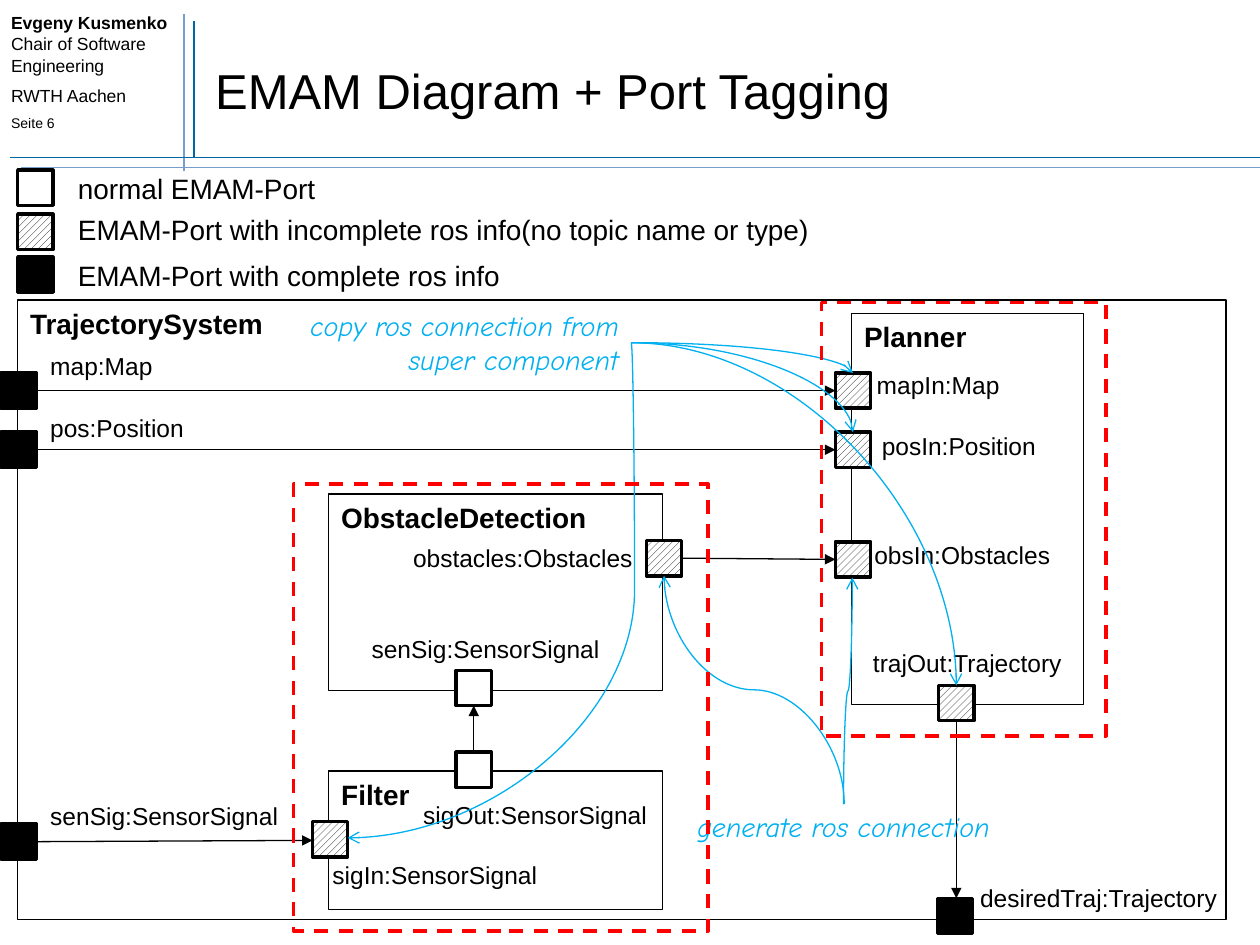
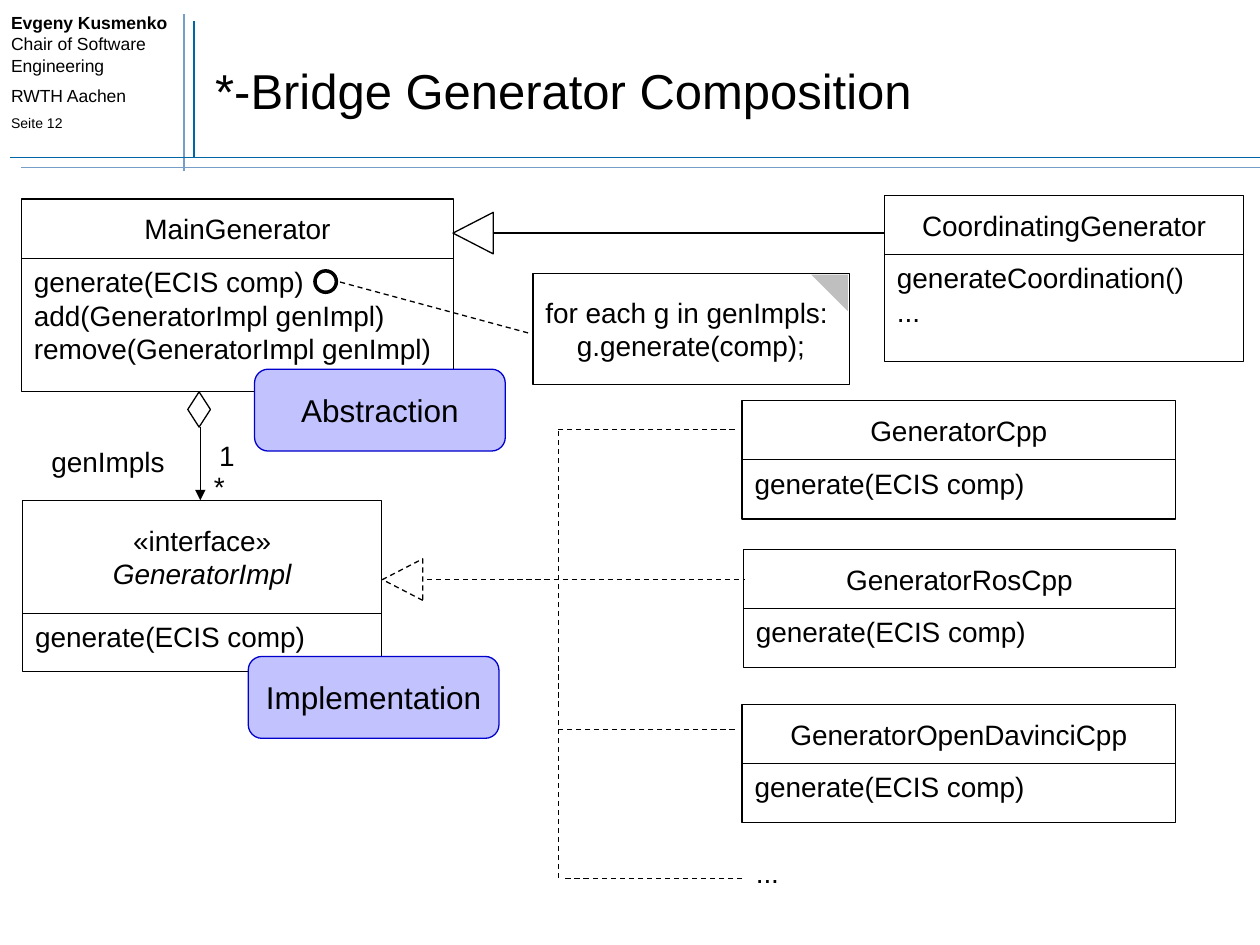
import dataclasses
import typing

import lxml.etree
import pptx
import pptx.dml.color
import pptx.enum.dml
import pptx.enum.shapes
import pptx.enum.text
import pptx.oxml.ns
import pptx.util

PX = 9144
COLOURS = {
    "ink": "000000", "paper": "FFFFFF", "rule": "0067A6", "rule_soft": "779EC9",
    "hint": "00B0F0", "scope": "FF0000", "fold": "BFBFBF",
    "badge": "C2C2FF", "badge_edge": "0000CC",
}
SHAPES = pptx.enum.shapes.MSO_SHAPE
ALIGN = pptx.enum.text.PP_ALIGN
ANCHOR = pptx.enum.text.MSO_ANCHOR
PORT = 28
HATCH = "hatch"

Frame = tuple[int, int, int, int]
Point = tuple[int, int]


@dataclasses.dataclass(frozen=True)
class Style:
    size: int = 16
    font: str = "Arial"
    colour: str = "ink"
    bold: bool = False
    italic: bool = False
    align: typing.Any = ALIGN.LEFT
    anchor: typing.Any = ANCHOR.TOP
    wrap: bool = True


@dataclasses.dataclass(frozen=True)
class Component:
    name: str
    frame: Frame


@dataclasses.dataclass(frozen=True)
class Port:
    left: int
    top: int
    fill: str


@dataclasses.dataclass(frozen=True)
class Label:
    text: str
    frame: Frame


@dataclasses.dataclass(frozen=True)
class Wire:
    start: Point
    end: Point
    colour: str = "ink"
    width: float = 0.75
    dashed: bool = False
    arrow: str = ""


@dataclasses.dataclass(frozen=True)
class Curve:
    start: Point
    end: Point
    preset: str = "curvedConnector2"
    turn: int = 0
    bend: int = 50000


@dataclasses.dataclass(frozen=True)
class ClassBox:
    left: int
    top: int
    width: int
    head_height: int
    body_height: int
    head: tuple[str, ...]
    body: tuple[str, ...]


BODY = Style()
NAME = Style(bold=True)
SMALL = Style(size=14, wrap=False)
LOOSE = Style(wrap=False)
HEAD = Style(align=ALIGN.CENTER, anchor=ANCHOR.MIDDLE)
TITLE = Style(size=28, anchor=ANCHOR.MIDDLE)
BADGE = Style(size=18, align=ALIGN.CENTER, anchor=ANCHOR.MIDDLE)
HINT = Style(font="Comic Neue", colour="hint", italic=True)


def rgb(name: str) -> pptx.dml.color.RGBColor:
    return pptx.dml.color.RGBColor.from_string(COLOURS[name])


def add_span(para, text: str, style: Style) -> None:
    span = para.add_run()
    span.text = text
    span.font.size = pptx.util.Pt(style.size)
    span.font.name = style.font
    span.font.bold = style.bold
    span.font.italic = style.italic
    span.font.color.rgb = rgb(style.colour)


def write(box, lines: typing.Sequence[str], style: Style) -> list:
    frame = box.text_frame
    frame.word_wrap = style.wrap
    frame.vertical_anchor = style.anchor
    paras = []
    for number, text in enumerate(lines):
        para = frame.add_paragraph() if number else frame.paragraphs[0]
        para.alignment = style.align
        add_span(para, text, style)
        paras.append(para)
    return paras


def add_text(page, frame: Frame, lines: typing.Sequence[str], style: Style):
    box = page.shapes.add_textbox(*(value * PX for value in frame))
    write(box, lines, style)
    return box


def add_box(page, frame: Frame, fill: str = "", edge: str = "ink", width: float = 0.75,
            kind=SHAPES.RECTANGLE, turn: int = 0, dashed: bool = False):
    box = page.shapes.add_shape(kind, *(value * PX for value in frame))
    box.shadow.inherit = False
    box.rotation = turn
    if fill == HATCH:
        box.fill.patterned()
        box.fill.pattern = pptx.enum.dml.MSO_PATTERN.WIDE_UPWARD_DIAGONAL
        box.fill.fore_color.rgb = rgb("ink")
        box.fill.back_color.rgb = rgb("paper")
    elif fill:
        box.fill.solid()
        box.fill.fore_color.rgb = rgb(fill)
    else:
        box.fill.background()
    if edge:
        box.line.color.rgb = rgb(edge)
        box.line.width = pptx.util.Pt(width)
        if dashed:
            box.line.dash_style = pptx.enum.dml.MSO_LINE.DASH
    else:
        box.line.fill.background()
    return box


def add_wire(page, wire: Wire, kind=pptx.enum.shapes.MSO_CONNECTOR.STRAIGHT):
    ends = (value * PX for value in wire.start + wire.end)
    link = page.shapes.add_connector(kind, *ends)
    link.line.color.rgb = rgb(wire.colour)
    link.line.width = pptx.util.Pt(wire.width)
    if wire.dashed:
        link.line.dash_style = pptx.enum.dml.MSO_LINE.DASH
    qn = pptx.oxml.ns.qn
    properties = link._element.spPr
    if wire.arrow:
        lxml.etree.SubElement(properties.find(qn("a:ln")), qn("a:tailEnd"), type=wire.arrow)
    lxml.etree.SubElement(properties, qn("a:effectLst"))
    return link


def add_curve(page, curve: Curve) -> None:
    wire = Wire(curve.start, curve.end, colour="hint", arrow="arrow")
    link = add_wire(page, wire, pptx.enum.shapes.MSO_CONNECTOR.CURVE)
    qn = pptx.oxml.ns.qn
    properties = link._element.spPr
    properties.find(qn("a:xfrm")).set("rot", str(curve.turn * 60000))
    geometry = properties.find(qn("a:prstGeom"))
    geometry.set("prst", curve.preset)
    if curve.preset == "curvedConnector3":
        lxml.etree.SubElement(geometry.find(qn("a:avLst")), qn("a:gd"),
                              name="adj1", fmla=f"val {curve.bend}")


def add_port(page, port: Port) -> None:
    add_box(page, (port.left, port.top, PORT, PORT), port.fill, width=2)


def add_class(page, item: ClassBox) -> None:
    head = add_box(page, (item.left, item.top, item.width, item.head_height))
    paras = write(head, item.head, HEAD)
    if len(paras) > 1:
        paras[-1].runs[0].font.italic = True
    body_top = item.top + item.head_height
    body = add_box(page, (item.left, body_top, item.width, item.body_height))
    write(body, item.body, BODY)


def add_page(deck, title: str, number: int):
    page = deck.slides.add_slide(deck.slide_layouts[6])
    author = add_text(page, (-1, 5, 153, 106), ["Evgeny Kusmenko"], Style(size=10, bold=True))
    first = author.text_frame.paragraphs[0]
    first.add_line_break()
    add_span(first, "Chair of Software Engineering", Style(size=10))
    for text, size in (("RWTH Aachen", 10), (f"Seite {number}", 8)):
        para = author.text_frame.add_paragraph()
        para.space_before = pptx.util.Pt(size * 0.56)
        add_span(para, text, Style(size=size))
    for start, end, colour in (
        ((154, 125), (154, 17), "rule"),
        ((146, 136), (146, 11), "rule_soft"),
        ((8, 125), (1000, 125), "rule"),
        ((17, 133), (1000, 133), "rule_soft"),
    ):
        add_wire(page, Wire(start, end, colour, 1))
    add_text(page, (161, 25, 827, 92), [title], TITLE)
    return page


def build_port_tagging(deck) -> None:
    page = add_page(deck, "EMAM Diagram + Port Tagging", 6)
    for part in (
        Component("TrajectorySystem", (14, 238, 959, 492)),
        Component("Planner", (676, 249, 184, 310)),
        Component("Filter", (261, 612, 265, 110)),
        Component("ObstacleDetection", (261, 392, 265, 156)),
    ):
        write(add_box(page, part.frame), [part.name], NAME)
    for start, end in (
        ((29, 357), (663, 357)), ((541, 443), (663, 444)), ((29, 310), (663, 310)),
        ((29, 668), (248, 667)), ((376, 597), (376, 560)), ((759, 572), (759, 713)),
    ):
        add_wire(page, Wire(start, end, arrow="triangle"))
    ports = [Port(1, top, "ink") for top in (296, 343, 654)]
    ports += [Port(663, top, HATCH) for top in (296, 343, 430)]
    ports += [Port(362, top, "paper") for top in (597, 532)]
    ports += [Port(744, 713, "ink"), Port(745, 544, HATCH),
              Port(513, 429, HATCH), Port(248, 652, HATCH)]
    for port in ports:
        add_port(page, port)
    for label in (
        Label("map:Map", (30, 274, 102, 34)),
        Label("obstacles:Obstacles", (318, 426, 196, 34)),
        Label("posIn:Position", (690, 337, 143, 34)),
        Label("obsIn:Obstacles", (684, 424, 161, 34)),
        Label("pos:Position", (30, 323, 127, 34)),
        Label("mapIn:Map", (686, 289, 118, 34)),
        Label("trajOut:Trajectory", (683, 509, 171, 34)),
        Label("desiredTraj:Trajectory", (768, 696, 209, 34)),
        Label("senSig:SensorSignal", (30, 631, 202, 34)),
        Label("senSig:SensorSignal", (285, 498, 202, 34)),
        Label("sigIn:SensorSignal", (254, 678, 184, 34)),
        Label("sigOut:SensorSignal", (326, 630, 199, 34)),
    ):
        add_text(page, label.frame, [label.text], SMALL)
    add_text(page, (183, 240, 318, 64), ["copy ros connection from super component"],
             dataclasses.replace(HINT, align=ALIGN.RIGHT))
    add_text(page, (532, 638, 275, 37), ["generate ros connection"],
             dataclasses.replace(HINT, align=ALIGN.CENTER))
    for target in ((677, 296), (677, 343), (759, 544)):
        add_curve(page, Curve((501, 272), target))
    for curve in (
        Curve((501, 272), (276, 665), "curvedConnector3", bend=-1200),
        Curve((508, 619), (689, 476), "curvedConnector3", turn=270),
        Curve((763, 552), (583, 545), "curvedConnector3", turn=90),
    ):
        add_curve(page, curve)
    for port_top, text_top, fill, text, width in (
        (135, 131, "paper", "normal EMAM-Port", 211),
        (170, 164, HATCH, "EMAM-Port with incomplete ros info(no topic name or type)", 608),
        (204, 200, "ink", "EMAM-Port with complete ros info", 360),
    ):
        add_port(page, Port(14, port_top, fill))
        add_text(page, (52, text_top, width, 37), [text], LOOSE)
    for scope in ((233, 384, 329, 355), (652, 240, 226, 344)):
        add_box(page, scope, edge="scope", width=2, dashed=True)


def build_generator_composition(deck) -> None:
    page = add_page(deck, "*-Bridge Generator Composition", 12)
    generate = "generate(ECIS comp)"
    for item in (
        ClassBox(17, 158, 343, 47, 106, ("MainGenerator",),
                 (generate, "add(GeneratorImpl genImpl)", "remove(GeneratorImpl genImpl)")),
        ClassBox(702, 155, 285, 47, 85, ("CoordinatingGenerator",),
                 ("generateCoordination()", "...")),
        ClassBox(18, 397, 285, 90, 46, ("«interface»", "GeneratorImpl"), (generate,)),
        ClassBox(589, 318, 344, 47, 47, ("GeneratorCpp",), (generate,)),
        ClassBox(590, 436, 343, 47, 47, ("GeneratorRosCpp",), (generate,)),
        ClassBox(589, 559, 344, 47, 47, ("GeneratorOpenDavinciCpp",), (generate,)),
    ):
        add_class(page, item)
    for label in (
        Label("...", (590, 674, 41, 40)),
        Label("*", (160, 368, 26, 30)),
        Label("1", (164, 343, 29, 30)),
        Label("genImpls", (31, 348, 186, 39)),
    ):
        add_text(page, label.frame, [label.text], LOOSE)
    add_wire(page, Wire((159, 339), (159, 397), arrow="triangle"))
    add_wire(page, Wire((702, 185), (391, 185)))
    for start, end in (
        ((339, 460), (591, 460)), ((443, 697), (443, 341)), ((583, 341), (443, 341)),
        ((583, 579), (443, 579)), ((589, 697), (447, 697)), ((263, 222), (422, 265)),
    ):
        add_wire(page, Wire(start, end, dashed=True))
    for left, top, dashed in ((359, 169, False), (303, 444, True)):
        add_box(page, (left, top, 33, 32), "paper", kind=SHAPES.ISOSCELES_TRIANGLE,
                turn=270, dashed=dashed)
    add_box(page, (149, 311, 18, 28), kind=SHAPES.DIAMOND)
    add_box(page, (250, 215, 17, 17), "paper", width=2, kind=SHAPES.OVAL)
    note = add_box(page, (423, 217, 251, 88))
    paras = write(note, ["for each g in genImpls:", "g.generate(comp);"],
                  Style(anchor=ANCHOR.MIDDLE))
    paras[1]._p.get_or_add_pPr().set("marL", str(25 * PX))
    add_box(page, (644, 218, 29, 29), "fold", edge="", kind=SHAPES.RIGHT_TRIANGLE, turn=180)
    for text, left, top in (("Implementation", 197, 521), ("Abstraction", 202, 293)):
        badge = add_box(page, (left, top, 199, 65), "badge", "badge_edge",
                        kind=SHAPES.ROUNDED_RECTANGLE)
        write(badge, [text], BADGE)


def main() -> None:
    deck = pptx.Presentation()
    deck.slide_width = 1000 * PX
    deck.slide_height = 750 * PX
    build_port_tagging(deck)
    build_generator_composition(deck)
    deck.save("out.pptx")


if __name__ == "__main__":
    main()
